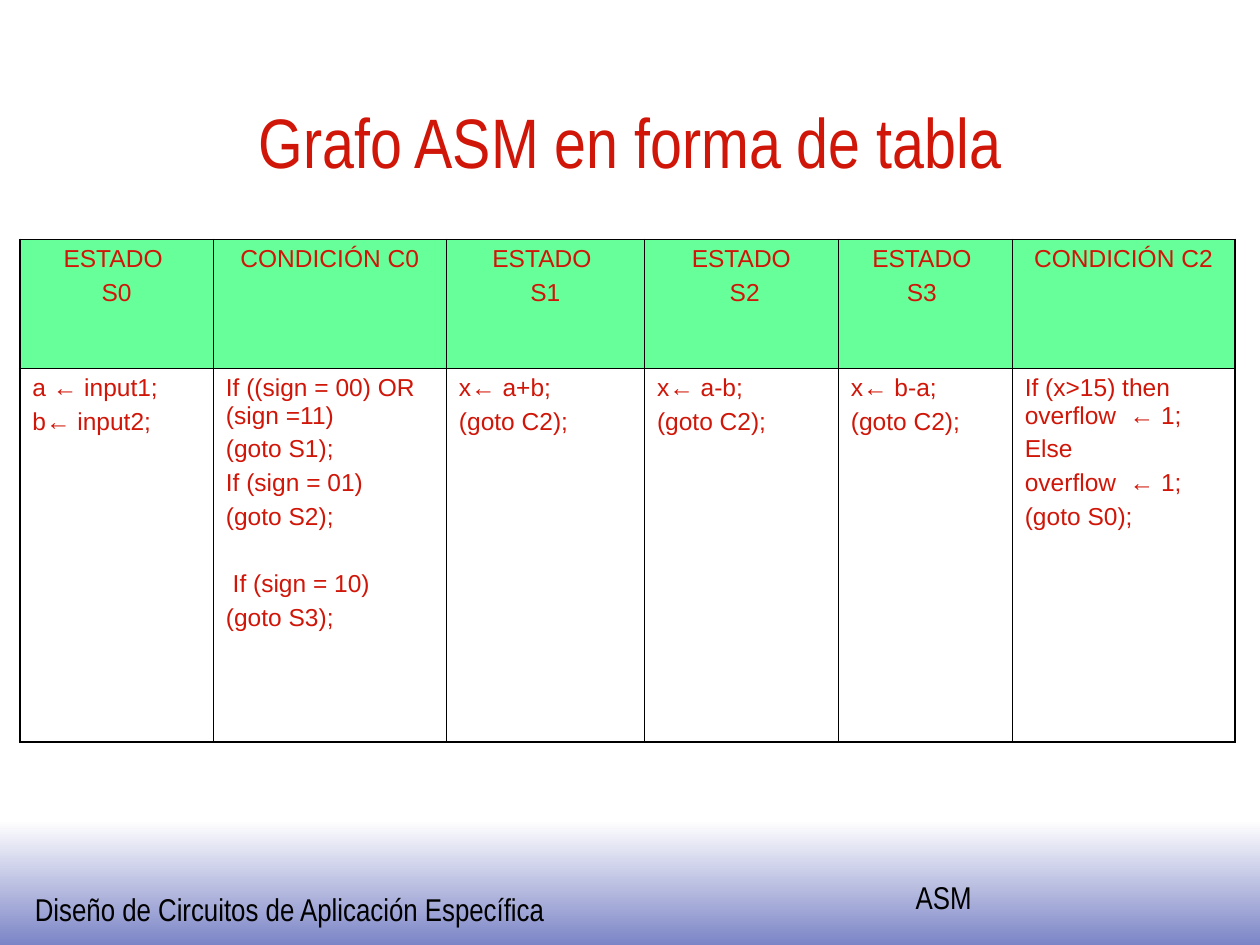
from dataclasses import dataclass
from lxml import etree
from pptx import Presentation
from pptx.dml.color import RGBColor
from pptx.enum import shapes, text
from pptx.oxml import ns
from pptx.util import Pt


@dataclass(frozen=True)
class Theme:
    red: str = "D01608"
    black: str = "000000"
    green: str = "66FF99"
    white: str = "FFFFFF"
    blue: str = "7B84C6"
    head: str = "Arial Narrow"
    body: str = "Arial"
    big: float = 40
    mid: float = 18
    small: float = 14
    thin: float = 0.45
    thick: float = 1.08
    gap: float = 3.5
    block: float = 22.7  # space before a new block inside a cell


T = Theme()
TITLE = dict(name=T.head, size=T.big, color=T.red)
FOOT = dict(name=T.head, size=T.mid, color=T.black)
CELL = dict(name=T.body, size=T.small, color=T.red)

WIDTHS = [110.6, 133.2, 113.2, 110.8, 99.4, 127.2]
HEIGHTS = [73.6, 213.8]
# Each cell is a list of blocks; each block is a list of lines.
ROWS = [
    [
        [["ESTADO ", "S0"]],
        [["CONDICIÓN C0"]],
        [["ESTADO ", "S1"]],
        [["ESTADO", " S2"]],
        [["ESTADO ", "S3 "]],
        [["CONDICIÓN C2"]],
    ],
    [
        [["a ← input1;", "b← input2;"]],
        [["If ((sign = 00) OR (sign =11)", "(goto S1);",
          "If (sign = 01)", "(goto S2);"],
         [" If (sign = 10)", "(goto S3);"]],
        [["x← a+b;", "(goto C2);"]],
        [["x← a-b;", "(goto C2);"]],
        [["x← b-a;", "(goto C2);"]],
        [["If (x>15) then overflow  ← 1;", "Else",
          "overflow  ← 1;", "(goto S0);"]],
    ],
]


def style(para, form):
    for key, val in form.items():
        if key == "color":
            para.font.color.rgb = RGBColor.from_string(val)
        else:
            setattr(para.font, key, Pt(val) if key == "size" else val)


def place(shape, box):
    for key, val in zip(("left", "top", "width", "height"), box):
        setattr(shape, key, Pt(val))


def add_title(slide, box, words):
    title = slide.shapes.title
    place(title, box)
    frame = title.text_frame
    frame.text = words
    frame.vertical_anchor = text.MSO_ANCHOR.BOTTOM
    para = frame.paragraphs[0]
    para.alignment = text.PP_ALIGN.CENTER
    style(para, TITLE)


def add_label(slide, box, words):
    frame = slide.shapes.add_textbox(*map(Pt, box)).text_frame
    frame.word_wrap = True
    frame.text = words
    style(frame.paragraphs[0], FOOT)


def add_footer(slide, box):
    left, top, _, _ = box
    band = slide.shapes.add_shape(shapes.MSO_SHAPE.RECTANGLE, *map(Pt, box))
    band.shadow.inherit = False
    band.line.fill.background()
    band.fill.gradient()
    band.fill.gradient_angle = 270
    for stop, hue in zip(band.fill.gradient_stops, (T.white, T.blue)):
        stop.color.rgb = RGBColor.from_string(hue)
    add_label(slide, (left + 12.8, top + 36.3, 312, 28.8),
              "Diseño de Circuitos de Aplicación Específica")
    add_label(slide, (left + 516.2, top + 29.5, 52, 28.8), "ASM")


def set_edges(cell, outer):
    """Draw the four cell borders, thick on the sides named in outer."""
    props = cell._tc.get_or_add_tcPr()
    for spot, side in enumerate("LRTB"):
        width = T.thick if side in outer else T.thin
        line = etree.Element(ns.qn(f"a:ln{side}"), w=str(int(Pt(width))))
        fill = etree.SubElement(line, ns.qn("a:solidFill"))
        etree.SubElement(fill, ns.qn("a:srgbClr"), val=T.black)
        props.insert(spot, line)


def fill_cell(cell, blocks, align):
    lines = [(line, T.block if spot == 0 else T.gap)
             for block in blocks for spot, line in enumerate(block)]
    frame = cell.text_frame
    frame.text = "\n".join(line for line, _ in lines)
    for spot, (para, (_, space)) in enumerate(zip(frame.paragraphs, lines)):
        para.alignment = align
        para.space_before = Pt(space if spot else 0)
        style(para, CELL)


def add_grid(slide, box):
    rows, cols = len(HEIGHTS), len(WIDTHS)
    table = slide.shapes.add_table(rows, cols, *map(Pt, box)).table
    table.first_row = table.horz_banding = False
    for col, width in zip(table.columns, WIDTHS):
        col.width = Pt(width)
    for row, height in zip(table.rows, HEIGHTS):
        row.height = Pt(height)
    for r, row in enumerate(ROWS):
        for c, blocks in enumerate(row):
            cell = table.cell(r, c)
            if r == 0:
                cell.fill.solid()
                cell.fill.fore_color.rgb = RGBColor.from_string(T.green)
                align = text.PP_ALIGN.CENTER
            else:
                cell.fill.background()
                align = text.PP_ALIGN.LEFT
            fill_cell(cell, blocks, align)
            outer = {"L": c == 0, "R": c == cols - 1,
                     "T": r == 0, "B": r == rows - 1}
            set_edges(cell, [side for side, edge in outer.items() if edge])


def main():
    deck = Presentation()
    deck.slide_width, deck.slide_height = Pt(720), Pt(540)
    slide = deck.slides.add_slide(deck.slide_layouts[5])
    add_footer(slide, (0, 468.7, 720, 72))
    add_title(slide, (54, 18, 612, 90), "Grafo ASM en forma de tabla")
    add_grid(slide, (11.3, 136.8, sum(WIDTHS), sum(HEIGHTS)))
    deck.save("out.pptx")


if __name__ == "__main__":
    main()
